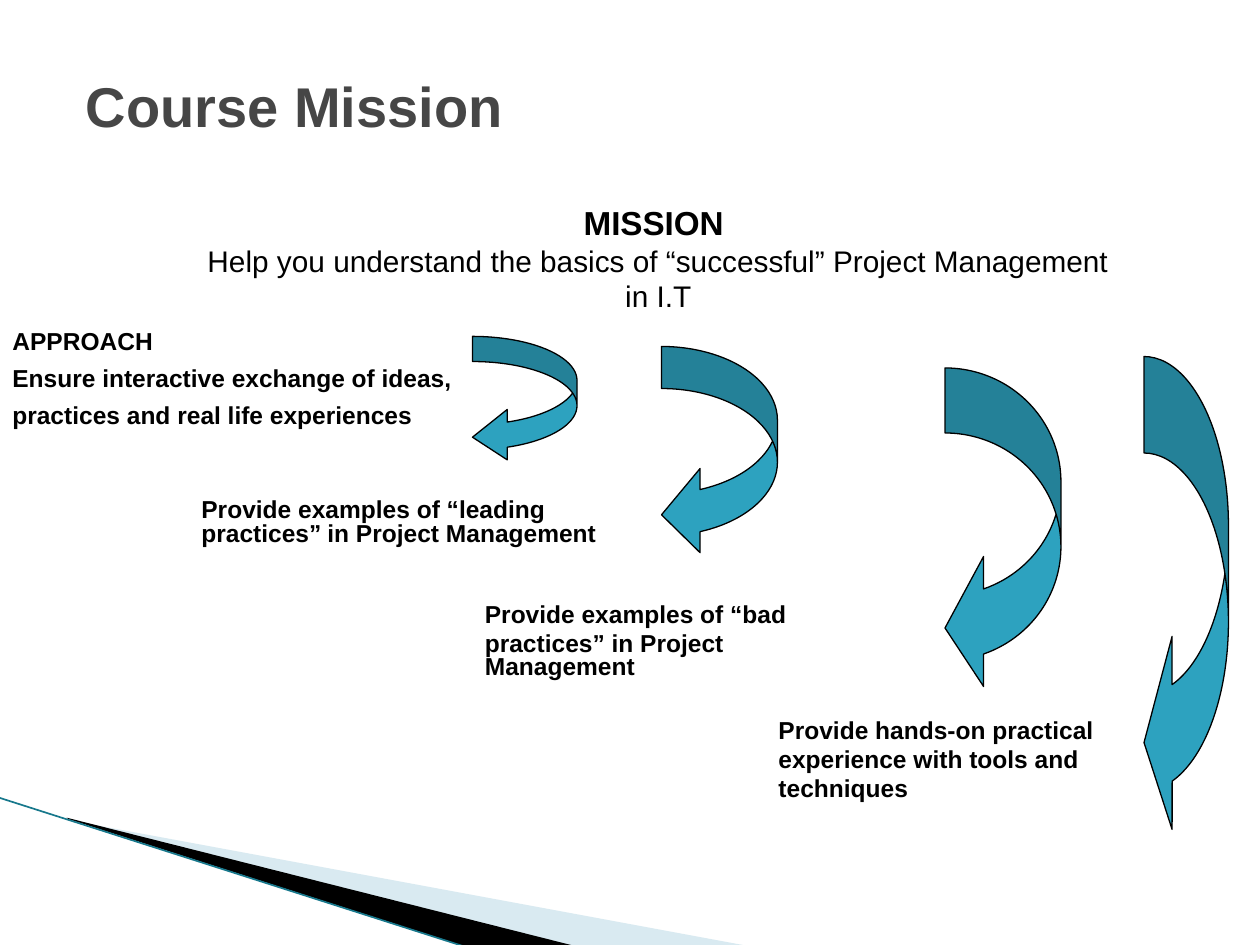
from lxml.etree import SubElement
from pptx import Presentation
from pptx.dml.color import RGBColor
from pptx.enum.shapes import MSO_CONNECTOR, MSO_SHAPE
from pptx.enum.text import MSO_ANCHOR, PP_ALIGN
from pptx.oxml.ns import qn
from pptx.util import Inches, Pt

COLORS = {"title": "464646", "text": "000000", "arrow": "2DA2BF",
          "pale": "A0CBDC", "dark": "000000", "edge": "17788C"}
FONT = "Arial"
TITLE = "Course Mission"
MISSION = [("MISSION ", 19, True),
           ("Help you understand the basics of “successful” Project Management", 17, False),
           ("in I.T", 17, False)]
STEPS = [
    ((0, 2.58, 3.83, 0.89), 7.7,
     ["APPROACH ", "Ensure interactive exchange of ideas, ",
      "practices and real life experiences"]),
    ((1.5, 3.92, 3.42, 0.7), 3.1,
     ["Provide examples of “leading practices”\tin Project Management"]),
    ((3.75, 4.75, 3.2, 0.8), 3.1,
     ["Provide examples of “bad", "practices” in Project Management"]),
    ((6.08, 5.67, 2.75, 1.28), 3.1,
     ["Provide hands-on practical", "experience with tools and", "techniques"]),
]
ARROWS = [(3.75, 2.67, 0.83, 1), (5.25, 2.75, 0.92, 1.67),
          (7.5, 2.92, 0.92, 2.58), (9.08, 2.83, 0.67, 3.83)]
ARROW_BAND = 0.2
WEDGES = [("pale", 40, [(0.55, 6.51), (5.95, 7.51), (4.56, 7.51), (0.55, 6.5)]),
          ("dark", 100, [(0.53, 6.49), (4.57, 7.51), (3.72, 7.52), (0.54, 6.5)])]
EDGE = (-0.01, 6.33, 3.71, 7.52)


def color(name):
    return RGBColor.from_string(COLORS[name])


def fill_shape(shape, name):
    shape.shadow.inherit = False
    shape.fill.solid()
    shape.fill.fore_color.rgb = color(name)


def format_font(paragraph, size, bold, name="text"):
    for run in paragraph.runs:
        run.font.name = FONT
        run.font.size = Pt(size)
        run.font.bold = bold
        run.font.color.rgb = color(name)


def add_text(slide, box, lines, space, centered=False):
    text_frame = slide.shapes.add_textbox(*map(Inches, box)).text_frame
    text_frame.word_wrap = True
    text_frame.text = "\n".join(text for text, size, bold in lines)
    for paragraph, (text, size, bold) in zip(text_frame.paragraphs, lines):
        paragraph.line_spacing = 0.8
        paragraph.space_before = Pt(space)
        if centered:
            paragraph.alignment = PP_ALIGN.CENTER
            properties = paragraph._p.get_or_add_pPr()
            properties.set("marL", str(Inches(0.4)))
            properties.set("indent", str(Inches(-0.28)))
        format_font(paragraph, size, bold)


presentation = Presentation()
presentation.slide_width, presentation.slide_height = Inches(10), Inches(7.5)
slide = presentation.slides.add_slide(presentation.slide_layouts[5])

for name, opacity, points in WEDGES:
    units = [(x * 100, y * 100) for x, y in points]
    builder = slide.shapes.build_freeform(*units[0], scale=Inches(0.01))
    builder.add_line_segments(units[1:], close=True)
    wedge = builder.convert_to_shape()
    fill_shape(wedge, name)
    wedge.line.fill.background()
    if opacity < 100:
        tint = wedge._element.spPr.find(qn("a:solidFill")).find(qn("a:srgbClr"))
        SubElement(tint, qn("a:alpha")).set("val", str(opacity * 1000))

edge = slide.shapes.add_connector(MSO_CONNECTOR.STRAIGHT, *map(Inches, EDGE))
edge.line.color.rgb = color("edge")
edge.line.width = Pt(0.95)
SubElement(edge._element.spPr, qn("a:effectLst"))

title = slide.shapes.title
title.left, title.top, title.width, title.height = map(Inches, (0.58, 0.25, 9, 1.17))
title.text_frame.text = TITLE
title.text_frame.vertical_anchor = MSO_ANCHOR.MIDDLE
title.text_frame.paragraphs[0].alignment = PP_ALIGN.LEFT
format_font(title.text_frame.paragraphs[0], 32, True, "title")

add_text(slide, (0.83, 1.62, 8.67, 0.96), MISSION, 4, centered=True)
for box, space, lines in STEPS:
    add_text(slide, box, [(line, 14, True) for line in lines], space)

for box in ARROWS:
    arrow = slide.shapes.add_shape(MSO_SHAPE.CURVED_LEFT_ARROW, *map(Inches, box))
    fill_shape(arrow, "arrow")
    arrow.line.color.rgb = color("text")
    arrow.line.width = Pt(0.75)
    band = ARROW_BAND * box[3] / box[2]
    for index, value in enumerate((band, 2 * band, 0.333)):
        arrow.adjustments[index] = value

presentation.save("out.pptx")
